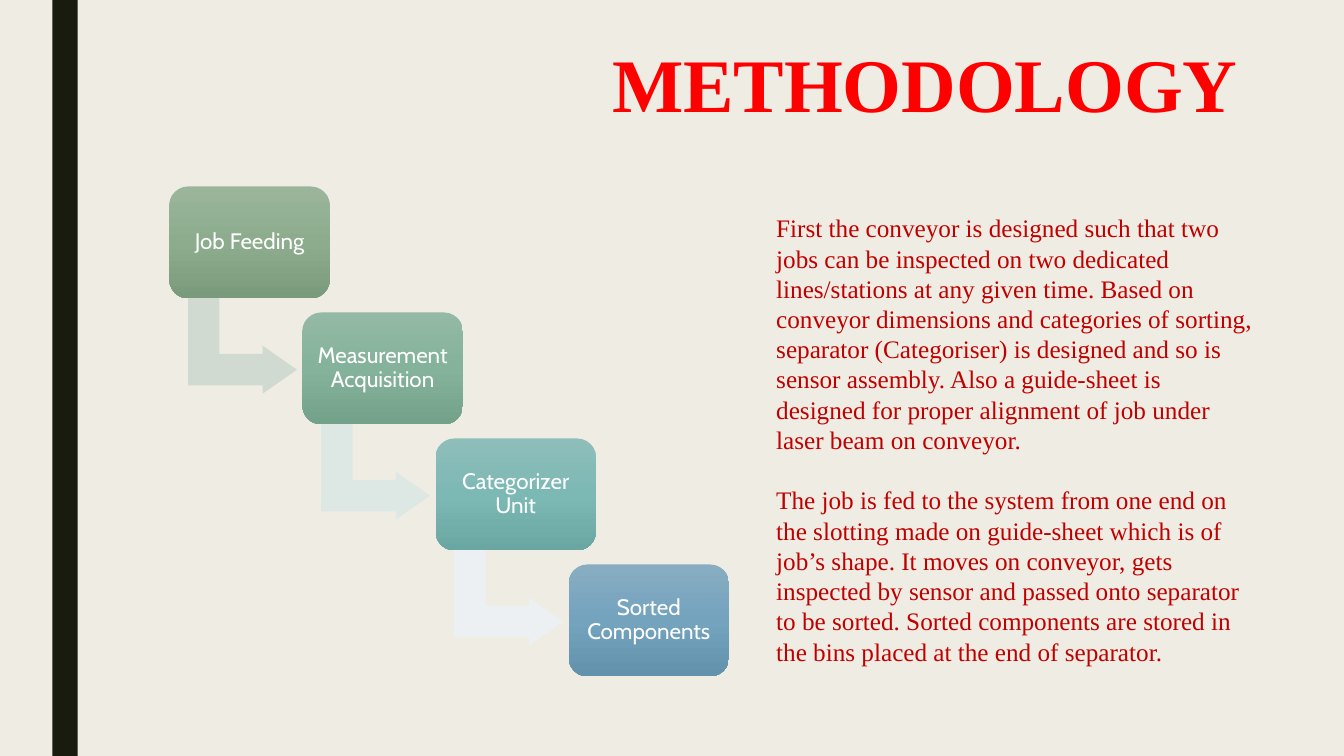
from copy import deepcopy

from pptx import Presentation
from pptx.dml.color import RGBColor
from pptx.enum.shapes import MSO_SHAPE
from pptx.enum.text import MSO_ANCHOR, MSO_AUTO_SIZE, PP_ALIGN
from pptx.oxml.ns import qn
from pptx.util import Inches, Pt

# Content
TITLE = "METHODOLOGY"
STEPS = [  # label, gradient from top to bottom, colour of the arrow to the next step
    ("Job Feeding", ("9BB59B", "8CAC8D", "7A9B7B"), "D0DAD1"),
    ("Measurement Acquisition", ("94B9A6", "84B29A", "73A189"), "DDE8E5"),
    ("Categorizer Unit", ("8EBEBA", "7CB8B4", "6BA7A2"), "ECF0F3"),
    ("Sorted Components", ("88ADC3", "74A3BE", "6392AD"), None),
]
PARAGRAPHS = [
    "First the conveyor is designed such that two jobs can be inspected on two "
    "dedicated lines/stations at any given time. Based on conveyor dimensions and "
    "categories of sorting, separator (Categoriser) is designed and so is sensor "
    "assembly. Also a guide-sheet is designed for proper alignment of job under "
    "laser beam on conveyor.",
    "The job is fed to the system from one end on the slotting made on guide-sheet "
    "which is of job’s shape. It moves on conveyor, gets inspected by sensor and "
    "passed onto separator to be sorted. Sorted components are stored in the bins "
    "placed at the end of separator.",
]

THEME = {
    "background": "EFEDE3", "bar": "191B0E",
    "title": ("Times New Roman", 54, "FF0000"),
    "body": ("Times New Roman", 18, "C00000"),
    "step": ("Cabin", 16, "FFFFFF"),
    "title_line": 65, "body_line": 21.6,
}

# Staircase layout, in inches
STEP_LEFT, STEP_TOP, STEP_W, STEP_H = 1.68, 1.85, 1.59, 1.11
STEP_DX, STEP_DY = 1.32, 1.25
ARROW_DX, ARROW_DY, ARROW_W, ARROW_H = 0.25, 1.04, 0.95, 1.08
ARROW_ADJUST = (0.328, 0.25, 0.358)


def add_shape(kind, left, top, width, height, color=None):
    s = slide.shapes.add_shape(kind, Inches(left), Inches(top), Inches(width), Inches(height))
    s.shadow.inherit = False
    s.line.fill.background()
    if color:
        s.fill.solid()
        s.fill.fore_color.rgb = RGBColor.from_string(color)
    return s


def add_text(left, top, width, height, wrap):
    s = slide.shapes.add_textbox(Inches(left), Inches(top), Inches(width), Inches(height))
    tf = s.text_frame
    tf.word_wrap = wrap
    tf.auto_size = MSO_AUTO_SIZE.SHAPE_TO_FIT_TEXT
    return tf


def style(p, role, bold=False):
    name, size, color = THEME[role]
    for r in p.runs:
        r.font.name = name
        r.font.size = Pt(size)
        r.font.bold = bold
        r.font.color.rgb = RGBColor.from_string(color)


def fill_gradient(s, colors):
    s.fill.gradient()
    s.fill.gradient_angle = 270
    stop_list = s._element.spPr.find(qn("a:gradFill")).find(qn("a:gsLst"))
    stop_list.insert(1, deepcopy(stop_list[0]))
    for i, (stop, color) in enumerate(zip(s.fill.gradient_stops, colors)):
        stop.position = i / (len(colors) - 1)
        stop.color.rgb = RGBColor.from_string(color)


prs = Presentation()
prs.slide_width, prs.slide_height = Inches(13.33), Inches(7.5)
slide = prs.slides.add_slide(prs.slide_layouts[6])

# Background and side bar
slide.background.fill.solid()
slide.background.fill.fore_color.rgb = RGBColor.from_string(THEME["background"])
add_shape(MSO_SHAPE.RECTANGLE, 0.52, 0, 0.25, 7.5, THEME["bar"])

# Staircase of steps
for i, (label, colors, arrow_color) in enumerate(STEPS):
    left, top = STEP_LEFT + i * STEP_DX, STEP_TOP + i * STEP_DY
    if arrow_color:
        arrow = add_shape(MSO_SHAPE.BENT_UP_ARROW, left + ARROW_DX, top + ARROW_DY,
                          ARROW_W, ARROW_H, arrow_color)
        arrow.rotation = 90
        for n, value in enumerate(ARROW_ADJUST):
            arrow.adjustments[n] = value
    box = add_shape(MSO_SHAPE.ROUNDED_RECTANGLE, left, top, STEP_W, STEP_H)
    fill_gradient(box, colors)
    tf = box.text_frame
    tf.text = label
    tf.word_wrap = True
    tf.vertical_anchor = MSO_ANCHOR.MIDDLE
    tf.margin_left = tf.margin_right = tf.margin_top = tf.margin_bottom = Inches(0.07)
    p = tf.paragraphs[0]
    p.alignment = PP_ALIGN.CENTER
    p.line_spacing = 0.9
    style(p, "step")

# Title
tf = add_text(5.94, 0.31, 6.47, 1.01, wrap=False)
tf.text = TITLE
p = tf.paragraphs[0]
p.alignment = PP_ALIGN.CENTER
p.line_spacing = Pt(THEME["title_line"])
style(p, "title", bold=True)

# Description, one line apart
tf = add_text(7.6, 2.06, 4.95, 4.95, wrap=True)
tf.text = "\n".join(PARAGRAPHS)
for i, p in enumerate(tf.paragraphs):
    p.line_spacing = Pt(THEME["body_line"])
    if i:
        p.space_before = Pt(THEME["body_line"])
    style(p, "body")

prs.save("out.pptx")
